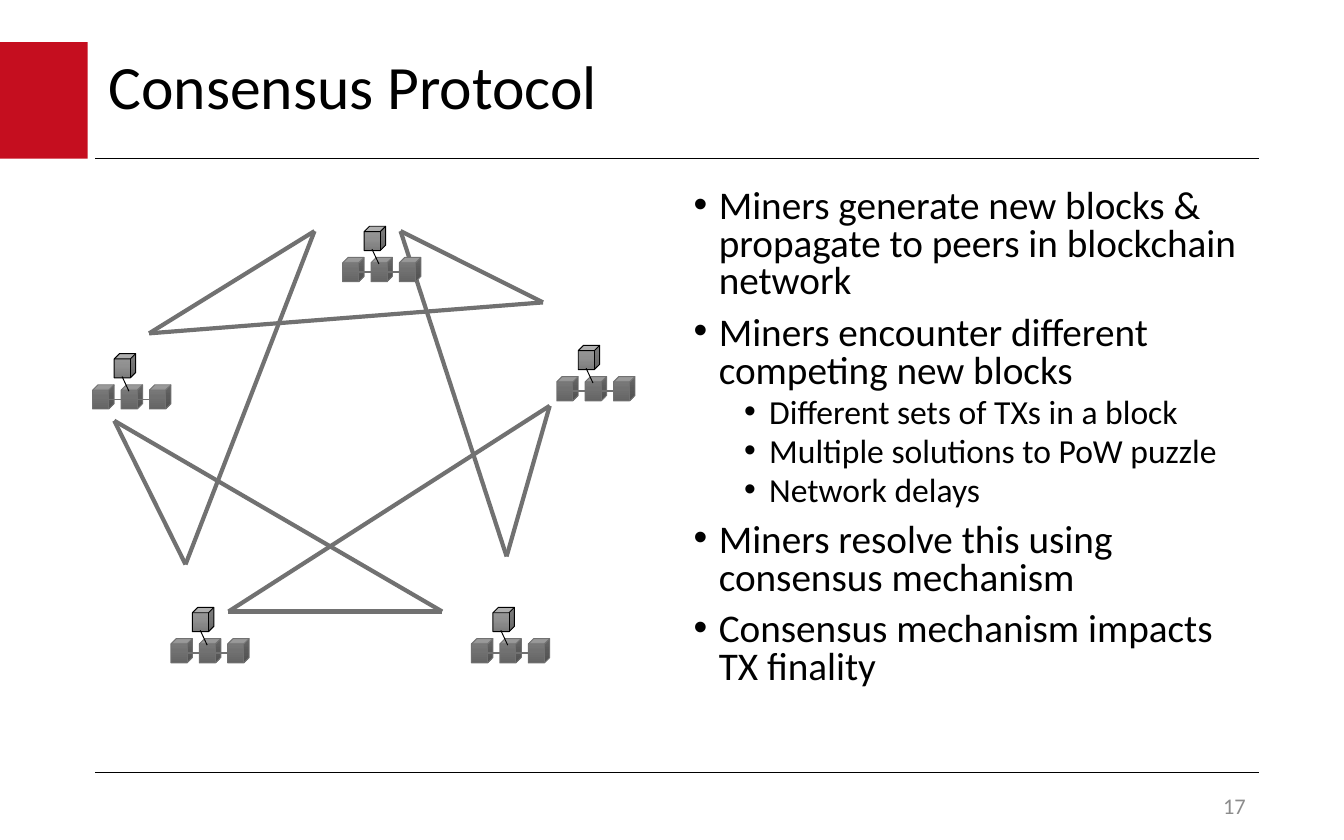
"""Build the Consensus Protocol slide: a mesh of miners beside a bullet list."""
from copy import deepcopy
from itertools import pairwise
from pptx import Presentation
from pptx.dml.color import RGBColor
from pptx.enum import shapes as s, text as t
from pptx.oxml import ns
from pptx.oxml.xmlchemy import OxmlElement
from pptx.util import Pt

TITLE = "Consensus Protocol"
POINTS = [
    ("Miners generate new blocks & propagate to peers in blockchain network", 0),
    ("Miners encounter different competing new blocks", 0),
    ("Different sets of TXs in a block", 1),
    ("Multiple solutions to PoW puzzle", 1),
    ("Network delays", 1),
    ("Miners resolve this using consensus mechanism", 0),
    ("Consensus mechanism impacts TX finality", 0),
]
NUMBER = "17"
MINERS = [(49.7, 189.4), (91.6, 325.4), (252.6, 325.4), (298.3, 185), (183.6, 121.2)]
RING = [(168.5, 123.8), (79.9, 178.6), (290.9, 162), (214.6, 123.8), (271.4, 298.1),
        (294.5, 217.4), (122.4, 327.6), (236.9, 327.6), (61.2, 225.4), (99.4, 302.4)]
RULES = [85, 414]

THEME = dict(
    font="Calibri", ink="000000", red="C50E1F", gray="717171", pale="8C8C8C",
    dark=["828282", "717171", "646464"], light=["9D9D9D", "909090", "7C7C7C"],
    title=33, body=[21, 18], small=12, indent=[13.5, 40.5], gap=[7.5, 3.75],
)


def rgb(name):
    return RGBColor.from_string(THEME.get(name, name))


def bullet(para, level):
    prop = para._p.get_or_add_pPr()
    prop.set("marL", str(Pt(THEME["indent"][level])))
    prop.set("indent", str(-Pt(13.5)))
    for tag, key, val in [("a:buFont", "typeface", "Arial"), ("a:buChar", "char", "•")]:
        mark = OxmlElement(tag)
        mark.set(key, val)
        prop.append(mark)


def write(box, rows, sizes, color="ink", align=t.PP_ALIGN.LEFT,
          anchor=t.MSO_ANCHOR.TOP, lead=None, dots=False):
    frame = box.text_frame
    frame.word_wrap = True
    frame.auto_size = t.MSO_AUTO_SIZE.NONE
    frame.vertical_anchor = anchor
    for i, (words, level) in enumerate(rows):
        para = frame.add_paragraph() if i else frame.paragraphs[0]
        para.level, para.alignment, para.line_spacing = level, align, lead
        para.space_before = Pt(THEME["gap"][level] if i else 0)
        if dots:
            bullet(para, level)
        run = para.add_run()
        run.text = words
        run.font.name, run.font.size = THEME["font"], Pt(sizes[level])
        run.font.color.rgb = rgb(color)


def line(tree, start, end, color="ink", width=0.75):
    link = tree.add_connector(s.MSO_CONNECTOR.STRAIGHT, *map(Pt, (*start, *end)))
    link.line.color.rgb, link.line.width = rgb(color), Pt(width)
    link._element.spPr.append(OxmlElement("a:effectLst"))


def cube(tree, x, y, shades, edge):
    block = tree.add_shape(s.MSO_SHAPE.CUBE, Pt(x), Pt(y), Pt(11.5), Pt(13))
    block.shadow.inherit = False
    block.fill.gradient()
    block.fill.gradient_angle = 270
    stops = block._element.spPr.find(".//" + ns.qn("a:gsLst"))
    stops.insert(1, deepcopy(stops[0]))
    for i, (stop, shade) in enumerate(zip(block.fill.gradient_stops, shades)):
        stop.position, stop.color.rgb = i / 2, rgb(shade)
    block.line.color.rgb, block.line.width = rgb(edge), Pt(0.5)


def miner(tree, x, y):
    group = tree.add_group_shape().shapes
    step, base, mid = 15.2, y + 16.7, y + 24.6
    for i in range(3):
        cube(group, x + i * step, base, THEME["dark"], "gray")
    cube(group, x + 11.5, y, THEME["light"], "ink")
    line(group, (x + 19.4, y + 20.2), (x + 15.7, y + 12.3), width=0.5)
    for i in range(2):
        left = x + i * step
        line(group, (left + 8.6, mid), (left + step, mid), "gray", 1)


def main():
    deck = Presentation()
    deck.slide_width, deck.slide_height = Pt(720), Pt(450)
    slide = deck.slides.add_slide(deck.slide_layouts[5])
    tree = slide.shapes

    flag = tree.add_shape(s.MSO_SHAPE.RECTANGLE, 0, Pt(22.5), Pt(47), Pt(62.5))
    flag.shadow.inherit = False
    flag.fill.solid()
    flag.fill.fore_color.rgb = rgb("red")
    flag.line.fill.background()
    for y in RULES:
        line(tree, (51, y), (674.6, y))

    head = tree.title
    head.left, head.top, head.width, head.height = map(Pt, (51, 22.5, 522, 51))
    write(head, [(TITLE, 0)], [THEME["title"]], anchor=t.MSO_ANCHOR.MIDDLE, lead=0.9)
    body = tree.add_textbox(*map(Pt, (364.5, 98, 310, 302.5)))
    write(body, POINTS, THEME["body"], lead=0.8, dots=True)

    for start, end in pairwise(RING + RING[:1]):
        line(tree, start, end, "gray", 2.25)
    for x, y in MINERS:
        miner(tree, x, y)

    foot = tree.add_textbox(*map(Pt, (528.5, 422.6, 146, 18)))
    write(foot, [(NUMBER, 0)], [THEME["small"]], "pale", t.PP_ALIGN.RIGHT, t.MSO_ANCHOR.MIDDLE)
    deck.save("out.pptx")


if __name__ == "__main__":
    main()
